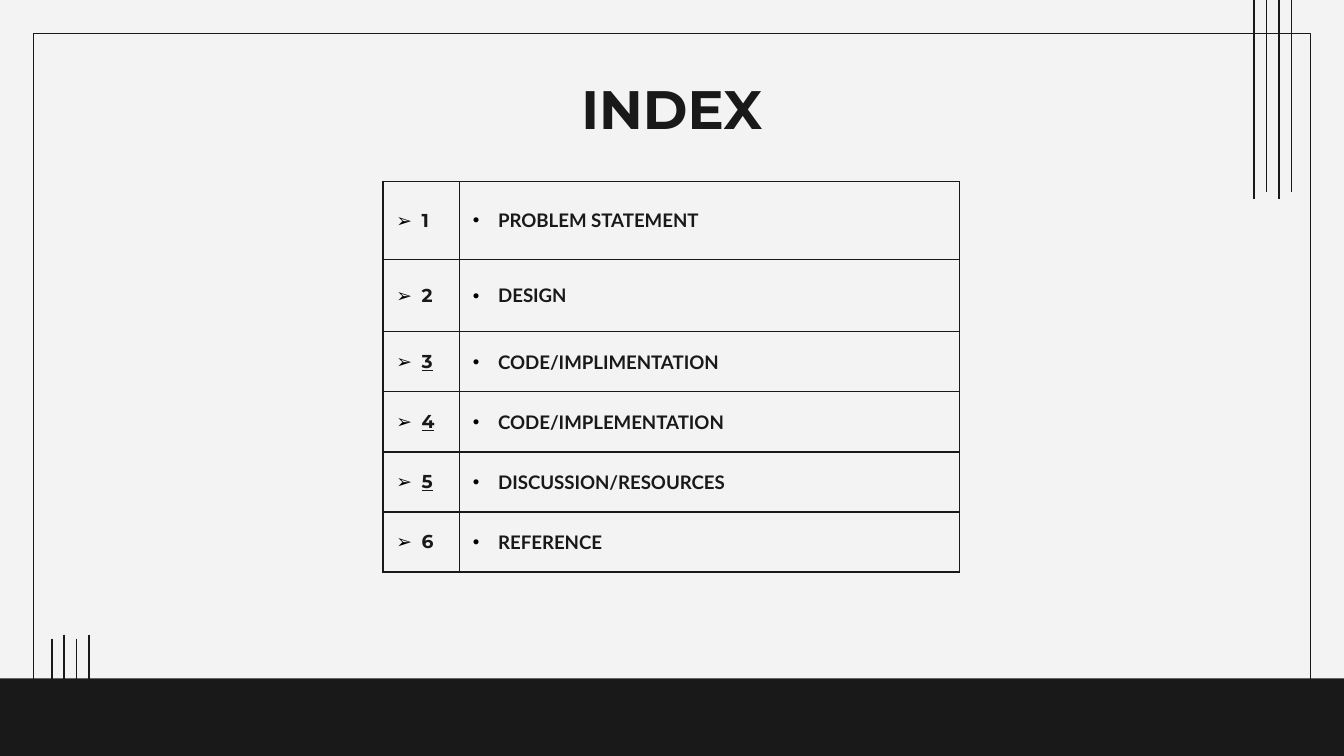
from dataclasses import dataclass

from lxml.etree import SubElement
from pptx import Presentation
from pptx.dml.color import RGBColor
from pptx.enum.shapes import MSO_CONNECTOR, MSO_SHAPE
from pptx.enum.text import MSO_ANCHOR, PP_ALIGN
from pptx.oxml.ns import qn
from pptx.util import Pt


@dataclass(frozen=True)
class Theme:
    """Colours, fonts and sizes of the deck."""
    paper: str = "F3F3F3"
    ink: str = "191919"
    bullet: str = "000000"
    heading: str = "Montserrat"
    body: str = "Lato"
    title_size: float = 29
    text_size: float = 10
    rule: float = 0.75


THEME = Theme()
TOPICS = [
    ("1", "PROBLEM STATEMENT", False),
    ("2", "DESIGN", False),
    ("3", "CODE/IMPLIMENTATION", True),
    ("4", "CODE/IMPLEMENTATION", True),
    ("5", "DISCUSSION/RESOURCES", True),
    ("6", "REFERENCE", False),
]
COLUMN_WIDTHS = [41, 268]
ROW_HEIGHTS = [42, 38.6] + [32.2] * 4


def rgb(color):
    """Turn a hex string into a colour."""
    return RGBColor.from_string(color)


def add_box(s, box, fill, line=None):
    """Add a plain rectangle, outlined if a line colour is given."""
    sp = s.shapes.add_shape(MSO_SHAPE.RECTANGLE, *map(Pt, box))
    sp.shadow.inherit = False
    sp.fill.solid()
    sp.fill.fore_color.rgb = rgb(fill)
    if line:
        sp.line.color.rgb = rgb(line)
        sp.line.width = Pt(THEME.rule)
    else:
        sp.line.fill.background()


def add_stripes(s, box, step, drops):
    """Add evenly spaced vertical lines, each lowered by its own drop."""
    left, top, height = box
    for i, drop in enumerate(drops):
        x, y = left + i * step, top + drop
        sp = s.shapes.add_connector(
            MSO_CONNECTOR.STRAIGHT, Pt(x), Pt(y), Pt(x), Pt(y + height))
        sp.line.color.rgb = rgb(THEME.ink)
        sp.line.width = Pt(THEME.rule)
        SubElement(sp._element.spPr, qn("a:effectLst"))


def style_run(r, font, size, underline=None):
    """Set the bold dark type used across the slide."""
    r.font.name, r.font.size, r.font.bold = font, Pt(size), True
    r.font.color.rgb = rgb(THEME.ink)
    r.font.underline = underline


def add_title(s, box, text):
    """Add the centred heading."""
    tf = s.shapes.add_textbox(*map(Pt, box)).text_frame
    tf.word_wrap = True
    tf.vertical_anchor = MSO_ANCHOR.MIDDLE
    tf.margin_left = tf.margin_right = tf.margin_top = tf.margin_bottom = Pt(7.2)
    tf.text = text
    p = tf.paragraphs[0]
    p.alignment = PP_ALIGN.CENTER
    style_run(p.runs[0], THEME.heading, THEME.title_size)


def set_bullet(p, char):
    """Give a paragraph a hanging bullet."""
    pPr = p._p.get_or_add_pPr()
    pPr.set("marL", str(Pt(13.5)))
    pPr.set("indent", str(-Pt(13.5)))
    color = SubElement(pPr, qn("a:buClr"))
    SubElement(color, qn("a:srgbClr"), val=THEME.bullet)
    SubElement(pPr, qn("a:buFont"), typeface="Arial")
    SubElement(pPr, qn("a:buChar"), char=char)


def set_borders(cell):
    """Draw the four sides of a cell."""
    tcPr = cell._tc.get_or_add_tcPr()
    for i, side in enumerate(("lnL", "lnR", "lnT", "lnB")):
        ln = tcPr.makeelement(qn(f"a:{side}"), {"w": str(Pt(THEME.rule))})
        fill = SubElement(ln, qn("a:solidFill"))
        SubElement(fill, qn("a:srgbClr"), val=THEME.ink)
        tcPr.insert(i, ln)


def fill_cell(cell, text, bullet, font, underline=None):
    """Write one bulleted line into a table cell."""
    cell.fill.solid()
    cell.fill.fore_color.rgb = rgb(THEME.paper)
    set_borders(cell)
    cell.vertical_anchor = MSO_ANCHOR.MIDDLE
    cell.margin_left = cell.margin_right = Pt(7.2)
    cell.margin_top = cell.margin_bottom = Pt(0)
    cell.text_frame.text = text
    p = cell.text_frame.paragraphs[0]
    set_bullet(p, bullet)
    style_run(p.runs[0], font, THEME.text_size, underline)
    return p


def add_index(s, left, top):
    """Add the table of numbered topics."""
    box = left, top, sum(COLUMN_WIDTHS), sum(ROW_HEIGHTS)
    table = s.shapes.add_table(
        len(TOPICS), len(COLUMN_WIDTHS), *map(Pt, box)).table
    table.first_row = table.horz_banding = False
    for column, width in zip(table.columns, COLUMN_WIDTHS):
        column.width = Pt(width)
    for i, (number, topic, underline) in enumerate(TOPICS):
        table.rows[i].height = Pt(ROW_HEIGHTS[i])
        fill_cell(table.cell(i, 0), number, "➢", THEME.heading, underline)
        p = fill_cell(table.cell(i, 1), topic, "•", THEME.body)
        p.space_after = Pt(16)


def add_backdrop(s, width, height):
    """Add the frame, the bottom band and the corner stripes."""
    add_box(s, (18, 18, width - 36, 369), THEME.paper, THEME.ink)
    add_box(s, (0, 363.4, width, height - 363.4), THEME.ink)
    add_stripes(s, (671.8, -21.6, 124.6), 6.7, (3.6, 0, 3.6, 0))
    add_stripes(s, (27.8, 340, 71.3), 6.6, (2.2, 0, 2.2, 0))


def main():
    """Build the index slide."""
    prs = Presentation()
    prs.slide_width, prs.slide_height = Pt(720), Pt(405)
    s = prs.slides.add_slide(prs.slide_layouts[6])
    s.background.fill.solid()
    s.background.fill.fore_color.rgb = rgb(THEME.paper)
    add_backdrop(s, 720, 405)
    add_title(s, (56.7, 35.3, 606.6, 45.4), "INDEX")
    add_index(s, 205.2, 97.2)
    prs.save("out.pptx")


if __name__ == "__main__":
    main()
